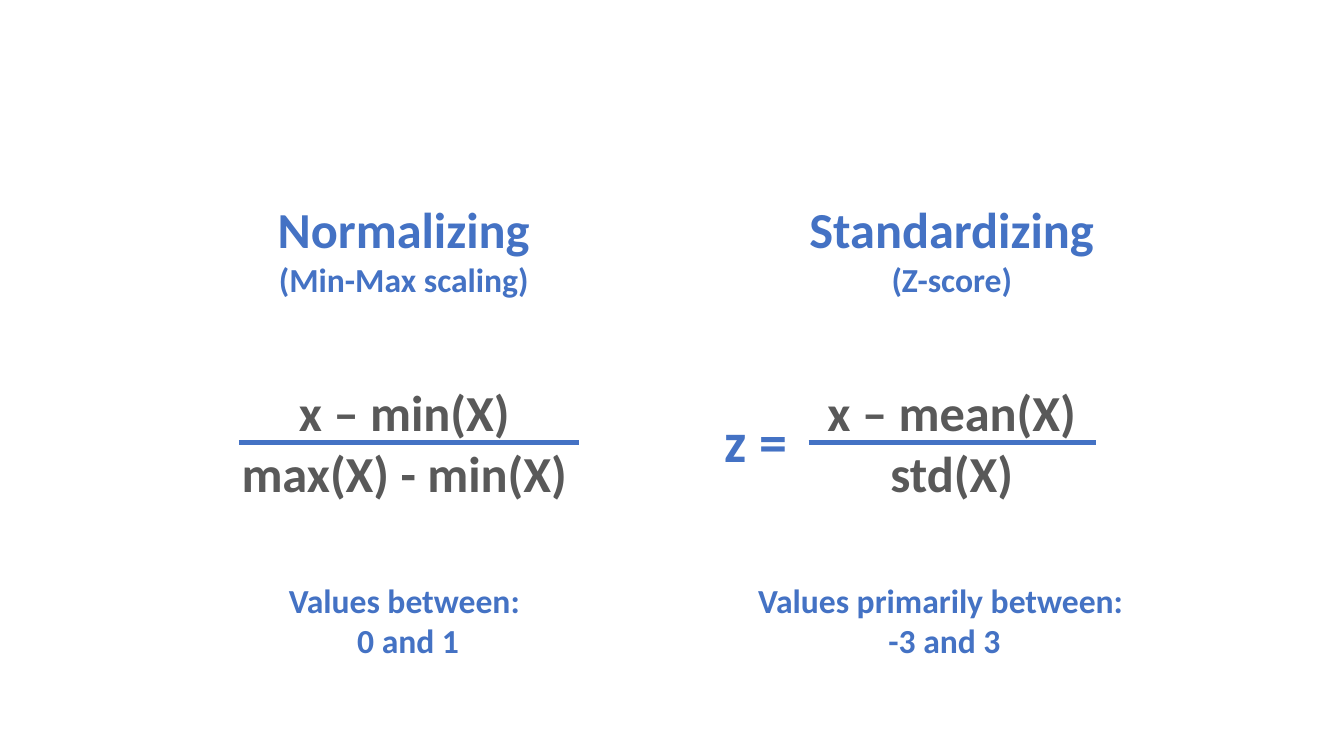
from pptx import Presentation
from pptx.dml.color import RGBColor
from pptx.enum.shapes import MSO_CONNECTOR as Conn
from pptx.enum.text import MSO_ANCHOR as Anchor, MSO_AUTO_SIZE as Fit, PP_ALIGN as Align
from pptx.oxml.ns import qn
from pptx.util import Inches, Pt
from lxml import etree

BLUE = RGBColor(0x44, 0x72, 0xC4)
GRAY = RGBColor(0x59, 0x59, 0x59)

deck = Presentation()
deck.slide_width = Inches(13.33)
deck.slide_height = Inches(7.5)
slide = deck.slides.add_slide(deck.slide_layouts[6])


def add_text(place, lines, color, align=Align.CENTER, **frame):
    box = slide.shapes.add_textbox(*map(Inches, place)).text_frame
    form = {"word_wrap": True, "vertical_anchor": Anchor.TOP, "auto_size": Fit.NONE}
    for name, value in (form | frame).items():
        setattr(box, name, value)
    for i, (text, size) in enumerate(lines):
        para = box.add_paragraph() if i else box.paragraphs[0]
        para.alignment = align
        run = para.add_run()
        run.text = text
        font = {"name": "Calibri", "size": Pt(size), "bold": True}
        for name, value in font.items():
            setattr(run.font, name, value)
        run.font.color.rgb = color


methods = [
    {
        "head": ((2.13, 1.9, 3.75, 1.13), "Normalizing", "(Min-Max scaling)"),
        "ratio": ((2.27, 3.75, 3.48, 1.27), "x – min(X)", "max(X) - min(X)"),
        "bar": (2.37, 5.74),
        "range": ((2.75, 5.7, 2.52, 0.91), "Values between:", " 0 and 1"),
    },
    {
        "head": ((7.88, 2.15, 3.12, 0.64), "Standardizing", "(Z-score)"),
        "ratio": ((8.02, 3.75, 2.84, 1.27), "x – mean(X)", "std(X)"),
        "bar": (8.02, 10.87),
        "range": ((7.4, 5.7, 3.86, 0.91), "Values primarily between:", " -3 and 3"),
    },
]

for method in methods:
    place, title, note = method["head"]
    add_text(place, [(title, 36), (note, 24)], BLUE, vertical_anchor=Anchor.MIDDLE)

    place, top, base = method["ratio"]
    add_text(place, [(top, 36), (base, 36)], GRAY, vertical_anchor=Anchor.MIDDLE)

    left, right = method["bar"]
    ends = map(Inches, (left, 4.39, right, 4.39))
    bar = slide.shapes.add_connector(Conn.STRAIGHT, *ends)
    bar.line.color.rgb = BLUE
    bar.line.width = Pt(3)
    etree.SubElement(bar._element.spPr, qn("a:effectLst"))

    place, label, limits = method["range"]
    add_text(place, [(label, 24), (limits, 24)], BLUE,
             word_wrap=False, auto_size=Fit.SHAPE_TO_FIT_TEXT)

add_text((7.09, 3.98, 0.87, 0.77), [("z =", 40)], BLUE, Align.LEFT,
         auto_size=Fit.SHAPE_TO_FIT_TEXT)

deck.save("out.pptx")
